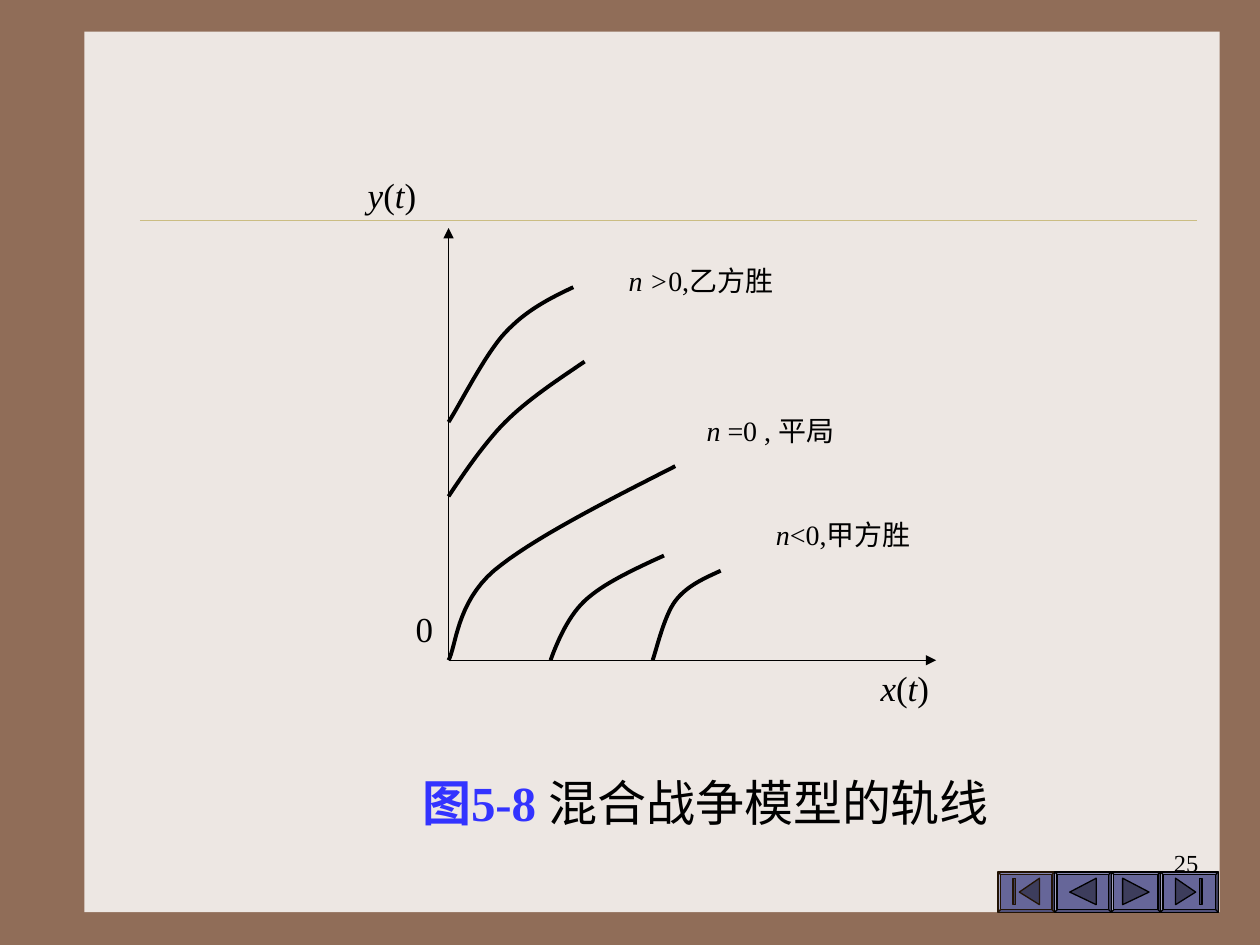
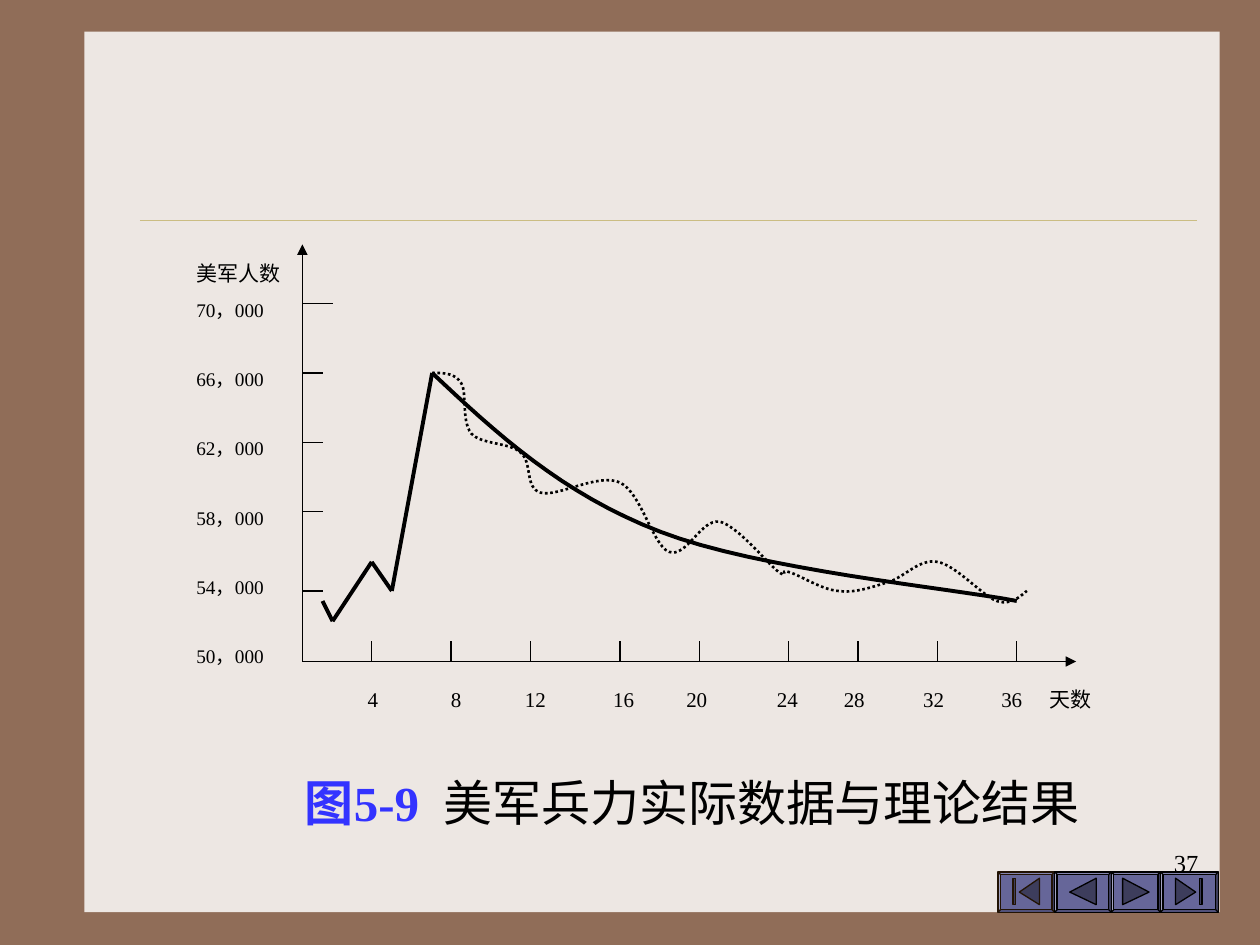
import itertools

import pptx
import pptx.util
import pptx.dml.color
import pptx.enum.dml
import pptx.enum.shapes
import pptx.enum.text
import pptx.oxml
import pptx.oxml.ns

PX = 9144  # 100 px to the inch
FONT = "Times New Roman"

RGB = pptx.dml.color.RGBColor
FRAME = RGB(0x90, 0x6D, 0x58)
PAPER = RGB(0xED, 0xE7, 0xE3)
RULE = RGB(0xCB, 0xBD, 0x83)
INK = RGB(0, 0, 0)
CAPTION_BLUE = RGB(0x33, 0x33, 0xFF)
BUTTON = RGB(0x66, 0x66, 0x99)
GLYPH = RGB(0x3D, 0x3D, 0x5C)
BROWN = RGB(0x22, 0x13, 0x04)

SHAPE = pptx.enum.shapes.MSO_SHAPE
ALIGN = pptx.enum.text.PP_ALIGN
DOTTED = pptx.enum.dml.MSO_LINE.ROUND_DOT


def emu(*lengths):
    return [round(length * PX) for length in lengths]


def add_run(paragraph, text, size, color=INK, italic=False, bold=False):
    run = paragraph.add_run()
    run.text = text
    font = run.font
    font.name, font.size, font.italic, font.bold = FONT, pptx.util.Pt(size), italic, bold
    font.color.rgb = color
    return run


def add_label(slide, box, runs, align=ALIGN.LEFT):
    """Text box with one paragraph; runs are (text, size, italic)."""
    frame = slide.shapes.add_textbox(*emu(*box)).text_frame
    frame.word_wrap = True
    paragraph = frame.paragraphs[0]
    paragraph.alignment = align
    for text, size, italic in runs:
        add_run(paragraph, text, size, italic=italic)
    return frame


def add_line(slide, start, end, width=0.75, color=INK, arrow=False):
    kind = pptx.enum.shapes.MSO_CONNECTOR.STRAIGHT
    line = slide.shapes.add_connector(kind, *emu(*start, *end))
    line.line.width = pptx.util.Pt(width)
    line.line.color.rgb = color
    if arrow:
        tail = pptx.oxml.parse_xml(
            f'<a:tailEnd {pptx.oxml.ns.nsdecls("a")} type="triangle"/>')
        line.line._get_or_add_ln().append(tail)
    effects = pptx.oxml.parse_xml(f'<a:effectLst {pptx.oxml.ns.nsdecls("a")}/>')
    line.element.spPr.append(effects)
    return line


def paint(shape, fill, line, width=0.75):
    shape.shadow.inherit = False
    if fill is None:
        shape.fill.background()
    else:
        shape.fill.solid()
        shape.fill.fore_color.rgb = fill
    if line is None:
        shape.line.fill.background()
    else:
        shape.line.color.rgb = line
        shape.line.width = pptx.util.Pt(width)


def add_outline(slide, points, close):
    points = [tuple(emu(*point)) for point in points]
    builder = slide.shapes.build_freeform(*points[0], scale=1.0)
    builder.add_line_segments(points[1:], close=close)
    return builder.convert_to_shape()


class Axes:
    """Plot whose points are px right of and above its origin."""

    def __init__(self, slide, origin, width, height):
        self.slide, self.origin = slide, origin
        self.line((0, 0), (width, 0), arrow=True)
        self.line((0, 0), (0, height), arrow=True)

    def at(self, point):
        return self.origin[0] + point[0], self.origin[1] - point[1]

    def line(self, start, end, **style):
        add_line(self.slide, self.at(start), self.at(end), **style)

    def label(self, corner, width, runs, **style):
        add_label(self.slide, (*self.at(corner), width, 44), runs, **style)

    def curve(self, knots, width=2.25, dash=None, steps=16):
        """Cubic Bezier chain: a start, then two controls and an end each."""
        points = [knots[0]]
        for first in range(0, len(knots) - 1, 3):
            a, b, c, d = knots[first:first + 4]
            for step in range(1, steps + 1):
                t = step / steps
                u = 1 - t
                points.append(tuple(
                    u**3 * p + 3 * u * u * t * q + 3 * u * t * t * r + t**3 * s
                    for p, q, r, s in zip(a, b, c, d)))
        shape = add_outline(self.slide, [self.at(p) for p in points], False)
        paint(shape, None, INK, width)
        if dash:
            shape.line.dash_style = dash


def build_master(deck, slide):
    """Frame colour, paper panel and rule, kept on the master."""
    master = deck.slide_master
    master.background.fill.solid()
    master.background.fill.fore_color.rgb = FRAME
    panel = slide.shapes.add_shape(SHAPE.RECTANGLE, *emu(67, 25, 901, 699))
    paint(panel, PAPER, None)
    rule = add_line(slide, (111, 175), (950, 175), 0.25, RULE)
    for place, part in enumerate((panel, rule)):
        part.element.xpath(".//p:cNvPr")[0].set("id", str(101 + place))
        master.shapes.element.insert(2 + place, part.element)


def add_caption(slide, box, number, text, indent=0, extra_gap=0):
    caption = slide.shapes.title
    caption.left, caption.top, caption.width, caption.height = emu(*box)
    frame = caption.text_frame
    frame.word_wrap = True
    frame.auto_size = pptx.enum.text.MSO_AUTO_SIZE.NONE
    frame.vertical_anchor = pptx.enum.text.MSO_ANCHOR.TOP
    paragraph = frame.paragraphs[0]
    paragraph.alignment = ALIGN.LEFT
    paragraph._p.get_or_add_pPr().set("indent", str(indent * PX))
    add_run(paragraph, number, 28, CAPTION_BLUE, bold=True)
    gap = add_run(paragraph, " ", 28, CAPTION_BLUE, bold=True)
    if extra_gap:
        gap.font._element.set("spc", str(extra_gap * 100))
    add_run(paragraph, text, 28)


def add_navigation(slide, left, top, height):
    # width, arrow tip, arrow base, bar, outline
    buttons = [(45, 17, 33, 12, BROWN), (45, 12, 33, None, INK),
               (39, 30, 9, None, INK), (46, 28, 12, 31, INK)]
    for width, tip, base, bar, outline in buttons:
        button = slide.shapes.add_shape(SHAPE.BEVEL, *emu(left, top, width, height))
        button.adjustments[0] = 2 / height
        paint(button, BUTTON, outline)
        arrow = [(left + tip, top + height / 2),
                 (left + base, top + 5), (left + base, top + height - 6)]
        paint(add_outline(slide, arrow, True), GLYPH, outline)
        if bar:
            mark = slide.shapes.add_shape(
                SHAPE.RECTANGLE, *emu(left + bar, top + 5, 2, height - 11))
            paint(mark, GLYPH, outline)
        left += width


def add_footer(slide, page):
    add_label(slide, (753, 668, 208, 50), [(page, 14, False)], align=ALIGN.RIGHT)
    add_navigation(slide, 792, 692, 32)


def build_trajectories(slide):
    plot = Axes(slide, (356, 524), 387, 343)
    for knots in (
        [(99, 296), (80, 287), (62, 278), (45, 260), (29, 243), (8, 201), (0, 189)],
        [(108, 237), (86, 222), (63, 207), (45, 189), (27, 171), (8, 142), (0, 130)],
        [(180, 154), (123, 125), (66, 96), (36, 71), (6, 45), (6, 10), (0, 0)],
        [(171, 83), (147, 72), (123, 61), (108, 47), (93, 33), (84, 8), (81, 0)],
        [(216, 71), (203, 65), (189, 59), (180, 47), (171, 35), (165, 8), (162, 0)],
    ):
        plot.curve(knots)
    for name, corner in (("y", (-74, 391)), ("x", (333, 0))):
        plot.label(corner, 90, [(name, 20, True), ("(", 20, False),
                                ("t", 20, True), (")", 20, False)])
    plot.label((-36, 47), 72, [("0", 20, False)])
    for corner, condition, outcome in (
        ((133, 320), "n >", "0,乙方胜"),
        ((195, 201), "n ", "=0 , 平局"),
        ((250, 118), "n", "<0,甲方胜"),
    ):
        plot.label(corner, 200, [(condition, 16, True), (outcome, 16, False)])
    add_caption(slide, (325, 608, 475, 104), "图5-8", "混合战争模型的轨线")
    add_footer(slide, "25")


def add_troop_scale(slide, box):
    scale = add_label(slide, box, [("美军人数", 12, False)])
    for thousands in range(70, 49, -4):
        row = scale.add_paragraph()
        row.space_before = pptx.util.Pt(6.9 if thousands == 70 else 26.4)
        add_run(row, f"{thousands}，000", 11)


def build_troops(slide):
    plot = Axes(slide, (240, 525), 614, 331)
    day_ticks = [55, 118, 181, 252, 315, 386, 441, 504, 567]
    day_centres = [56, 122, 185, 255, 313, 385, 438, 501, 563]
    for day, tick, centre in zip(range(4, 37, 4), day_ticks, day_centres):
        plot.line((tick, 16), (tick, 0))
        plot.label((centre - 30, -15), 60, [(str(day), 12, False)], align=ALIGN.CENTER)
    plot.label((580, -15), 60, [("天数", 12, False)], align=ALIGN.CENTER)
    for height, length in ((284, 24), (229, 16), (174, 16), (119, 16), (56, 16)):
        plot.line((0, height), (length, height))
    add_troop_scale(slide, (146, 202, 87, 337))

    build_up = [(16, 48), (24, 32), (55, 79), (71, 56), (103, 229)]
    for start, end in itertools.pairwise(build_up):
        plot.line(start, end, width=2.25)
    theory = [(103, 229), (154, 181), (206, 133), (284, 103),
              (361, 73), (515, 58), (567, 48)]
    actual = [(103, 229), (112, 229), (121, 229), (126, 221),
              (131, 213), (126, 191), (134, 181), (142, 172), (164, 174), (173, 166),
              (183, 158), (176, 138), (189, 134), (202, 130), (235, 150), (252, 142),
              (269, 134), (278, 92), (291, 87), (305, 82), (316, 113), (331, 111),
              (345, 108), (369, 78), (378, 71), (387, 65), (378, 74), (386, 71),
              (394, 69), (412, 57), (425, 56), (438, 54), (452, 59), (465, 63),
              (478, 67), (490, 82), (504, 79), (518, 77), (540, 52), (551, 48),
              (563, 44), (571, 53), (575, 56)]
    plot.curve(theory)
    plot.curve(actual, width=1.5, dash=DOTTED)
    add_caption(slide, (225, 608, 646, 104), "图5-9", "美军兵力实际数据与理论结果",
                indent=7, extra_gap=7)
    add_footer(slide, "37")


def main():
    deck = pptx.Presentation()
    deck.slide_width, deck.slide_height = emu(1000, 750)
    title_only = deck.slide_layouts[5]
    trajectories, troops = (deck.slides.add_slide(title_only) for _ in range(2))
    build_master(deck, trajectories)
    build_trajectories(trajectories)
    build_troops(troops)
    deck.save("out.pptx")


if __name__ == "__main__":
    main()
